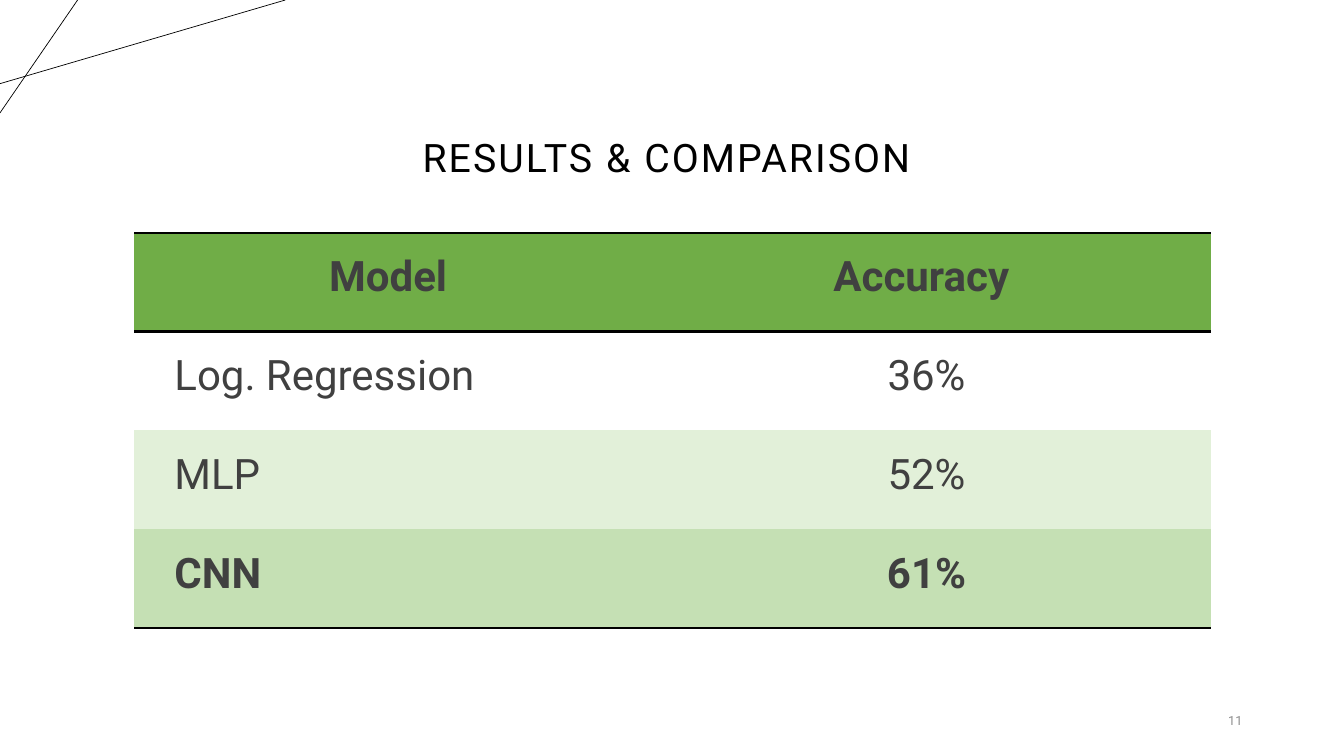
from lxml import etree
from pptx import Presentation
from pptx.dml.color import RGBColor
from pptx.enum.shapes import MSO_CONNECTOR
from pptx.enum.text import MSO_ANCHOR, PP_ALIGN
from pptx.oxml.ns import qn
from pptx.util import Inches, Pt

STRAIGHT = MSO_CONNECTOR.STRAIGHT
LEFT, CENTER, RIGHT = PP_ALIGN.LEFT, PP_ALIGN.CENTER, PP_ALIGN.RIGHT
MIDDLE, BOTTOM = MSO_ANCHOR.MIDDLE, MSO_ANCHOR.BOTTOM
FONT = "Roboto"
BLACK = RGBColor(0x00, 0x00, 0x00)
DARK_GRAY = RGBColor(0x40, 0x40, 0x40)
LIGHT_GRAY = RGBColor(0x8C, 0x8C, 0x8C)
WHITE = RGBColor(0xFF, 0xFF, 0xFF)
GREEN = RGBColor(0x70, 0xAD, 0x47)
PALE_GREEN = RGBColor(0xE2, 0xF0, 0xD9)
SOFT_GREEN = RGBColor(0xC5, 0xE0, 0xB4)

CORNER_LINES = [(0, 0.83, 2.83, 0), (0.77, 0, 0, 1.12)]
COLUMN_WIDTHS = [5.01, 5.67]
ROW_HEIGHT = 0.98
RESULTS = [
    ("Model", "Accuracy ", GREEN, True),
    ("Log. Regression", "36%", WHITE, False),
    ("MLP", "52%", PALE_GREEN, False),
    ("CNN", "61%", SOFT_GREEN, True),
]
RULED_EDGES = {0, 1, len(RESULTS)}


def add_line(slide, x1, y1, x2, y2):
    line = slide.shapes.add_connector(
        STRAIGHT, Inches(x1), Inches(y1), Inches(x2), Inches(y2))
    line.line.color.rgb = BLACK
    line.line.width = Pt(0.5)
    etree.SubElement(line._element.spPr, qn("a:effectLst"))


def write_text(frame, text, size, color, align, bold=False):
    frame.text = text
    para = frame.paragraphs[0]
    para.alignment = align
    span = para.runs[0]
    span.font.name = FONT
    span.font.size = Pt(size)
    span.font.bold = bold
    span.font.color.rgb = color
    return para


def add_text(slide, left, top, width, height, anchor, text, size, color, align):
    box = slide.shapes.add_textbox(
        Inches(left), Inches(top), Inches(width), Inches(height))
    box.text_frame.word_wrap = True
    box.text_frame.vertical_anchor = anchor
    return write_text(box.text_frame, text, size, color, align)


def set_borders(cell, ruled_sides):
    properties = cell._tc.get_or_add_tcPr()
    for index, side in enumerate("LRTB"):
        border = etree.Element(qn(f"a:ln{side}"))
        if side in ruled_sides:
            border.set("w", str(Pt(2)))
            fill = etree.SubElement(border, qn("a:solidFill"))
            etree.SubElement(fill, qn("a:srgbClr"), val=str(BLACK))
        else:
            etree.SubElement(border, qn("a:noFill"))
        properties.insert(index, border)


def fill_cell(cell, text, fill, bold, align, ruled_sides):
    cell.margin_left, cell.margin_right = Inches(0.4), Inches(0.37)
    cell.margin_top = cell.margin_bottom = Inches(0.2)
    cell.fill.solid()
    cell.fill.fore_color.rgb = fill
    write_text(cell.text_frame, text, 30, DARK_GRAY, align, bold)
    set_borders(cell, ruled_sides)


def add_results_table(slide):
    table = slide.shapes.add_table(
        len(RESULTS), len(COLUMN_WIDTHS), Inches(1.33), Inches(2.31),
        Inches(sum(COLUMN_WIDTHS)), Inches(ROW_HEIGHT * len(RESULTS))).table
    table.first_row = table.horz_banding = False
    for column, width in zip(table.columns, COLUMN_WIDTHS):
        column.width = Inches(width)
    for index, (model, accuracy, fill, bold) in enumerate(RESULTS):
        table.rows[index].height = Inches(ROW_HEIGHT)
        sides = [side for side, edge in (("T", index), ("B", index + 1))
                 if edge in RULED_EDGES]
        model_align = CENTER if index == 0 else LEFT
        fill_cell(table.cell(index, 0), model, fill, bold, model_align, sides)
        fill_cell(table.cell(index, 1), accuracy, fill, bold, CENTER, sides)


def main():
    deck = Presentation()
    deck.slide_width, deck.slide_height = Inches(13.33), Inches(7.5)
    page = deck.slides.add_slide(deck.slide_layouts[6])
    for ends in CORNER_LINES:
        add_line(page, *ends)
    title = add_text(page, 0.92, 0.39, 11.5, 1.45, BOTTOM,
                     "RESULTS & COMPARISON ", 28, BLACK, CENTER)
    title.line_spacing = 0.9
    title.runs[0].font._element.set("spc", "150")
    add_text(page, 11.34, 6.95, 1.08, 0.4, MIDDLE, "11", 9, LIGHT_GRAY, RIGHT)
    add_results_table(page)
    deck.save("out.pptx")


if __name__ == "__main__":
    main()
